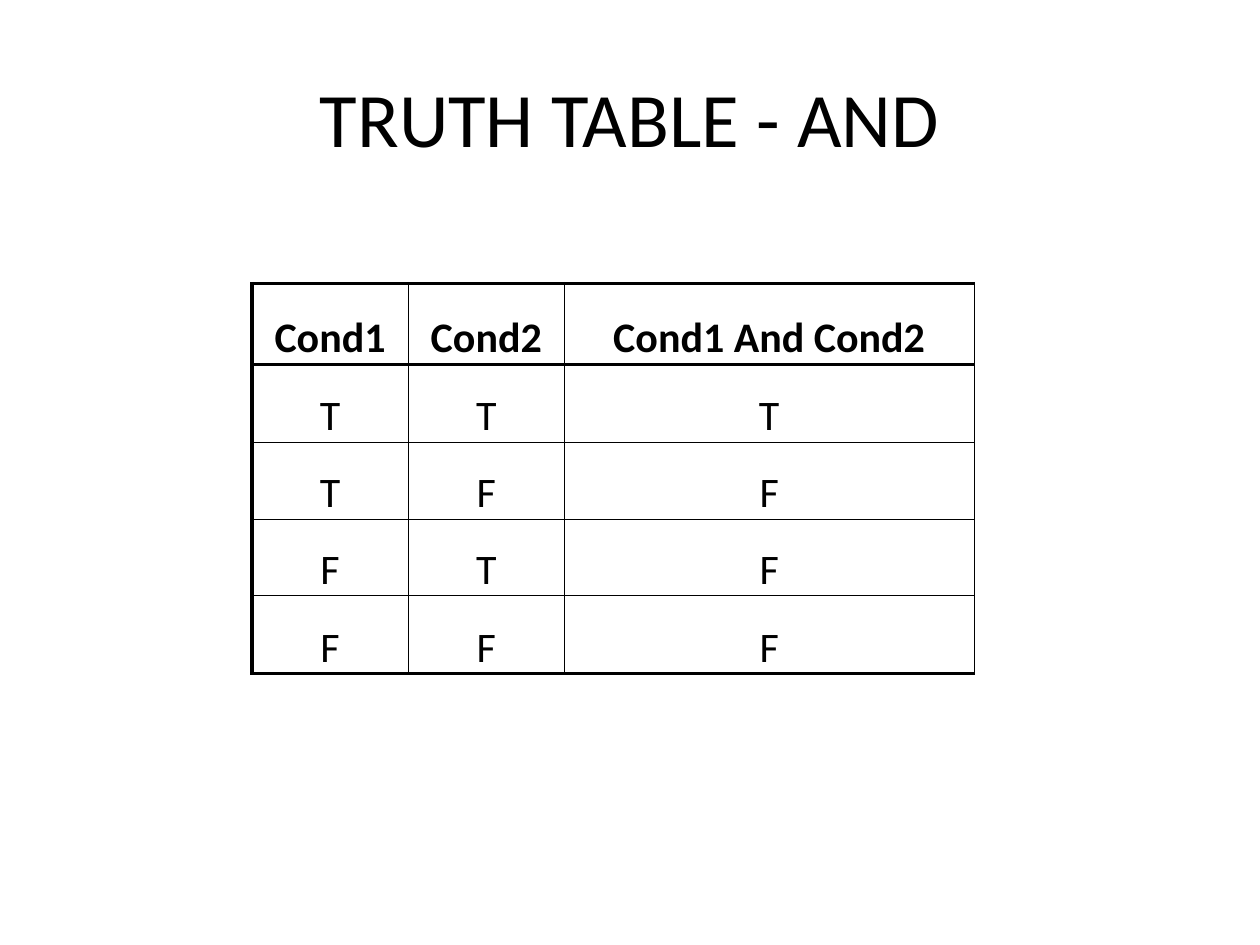
from itertools import product

from lxml import etree
from pptx import Presentation
from pptx.dml.color import RGBColor
from pptx.enum.text import MSO_ANCHOR, PP_ALIGN
from pptx.oxml.ns import qn
from pptx.util import Inches, Pt

CENTER = PP_ALIGN.CENTER
MIDDLE = MSO_ANCHOR.MIDDLE
BOTTOM = MSO_ANCHOR.BOTTOM
COLORS = {"ink": "000000", "paper": "FFFFFF"}
FONT = "Calibri"
THIN, THICK = 0.5, 2


def write(frame, text, size, bold=False):
    """Put one centred line of text in a frame."""
    paragraph = frame.paragraphs[0]
    paragraph.alignment = CENTER
    run = paragraph.add_run()
    run.text = text
    for name, value in {"name": FONT, "size": Pt(size), "bold": bold}.items():
        setattr(run.font, name, value)
    run.font.color.rgb = RGBColor.from_string(COLORS["ink"])


def add_borders(cell, widths):
    """Draw solid cell borders from a dict of side to width in points."""
    properties = cell._tc.get_or_add_tcPr()
    for side in "LRTB":
        line = etree.SubElement(properties, qn(f"a:ln{side}"), w=str(Pt(widths[side])))
        fill = etree.SubElement(line, qn("a:solidFill"))
        etree.SubElement(fill, qn("a:srgbClr"), val=COLORS["ink"])


presentation = Presentation()
presentation.slide_width = Inches(10)
presentation.slide_height = Inches(7.5)
slide = presentation.slides.add_slide(presentation.slide_layouts[6])
slide.background.fill.solid()
slide.background.fill.fore_color.rgb = RGBColor.from_string(COLORS["paper"])

heading = slide.shapes.add_textbox(Inches(0.5), Inches(0.3), Inches(9), Inches(1.25)).text_frame
heading.word_wrap = True
heading.vertical_anchor = MIDDLE
write(heading, "TRUTH TABLE - AND", 44)

truth_rows = [["Cond1", "Cond2", "Cond1 And Cond2"]]
for first, second in product("TF", repeat=2):
    truth_rows.append([first, second, "T" if first == second == "T" else "F"])

column_widths = [1.24, 1.24, 3.25]
row_heights = [0.64, 0.62, 0.61, 0.61, 0.62]
truth_table = slide.shapes.add_table(
    len(row_heights), len(column_widths), Inches(2), Inches(2.25),
    Inches(sum(column_widths)), Inches(sum(row_heights))).table
truth_table.first_row = False
truth_table.horz_banding = False
for column, width in zip(truth_table.columns, column_widths):
    column.width = Inches(width)
for row, height in zip(truth_table.rows, row_heights):
    row.height = Inches(height)

cell_format = {
    "vertical_anchor": BOTTOM,
    "margin_left": Inches(0.01),
    "margin_right": Inches(0.01),
    "margin_top": Inches(0.01),
    "margin_bottom": Inches(0),
}
last_row = len(truth_rows) - 1
for r, values in enumerate(truth_rows):
    for c, value in enumerate(values):
        cell = truth_table.cell(r, c)
        for name, setting in cell_format.items():
            setattr(cell, name, setting)
        write(cell.text_frame, value, 24, bold=r == 0)
        add_borders(cell, {
            "L": THICK if c == 0 else THIN,
            "R": THIN,
            "T": THICK if r <= 1 else THIN,
            "B": THICK if r in (0, last_row) else THIN,
        })
        cell.fill.background()

presentation.save("out.pptx")
